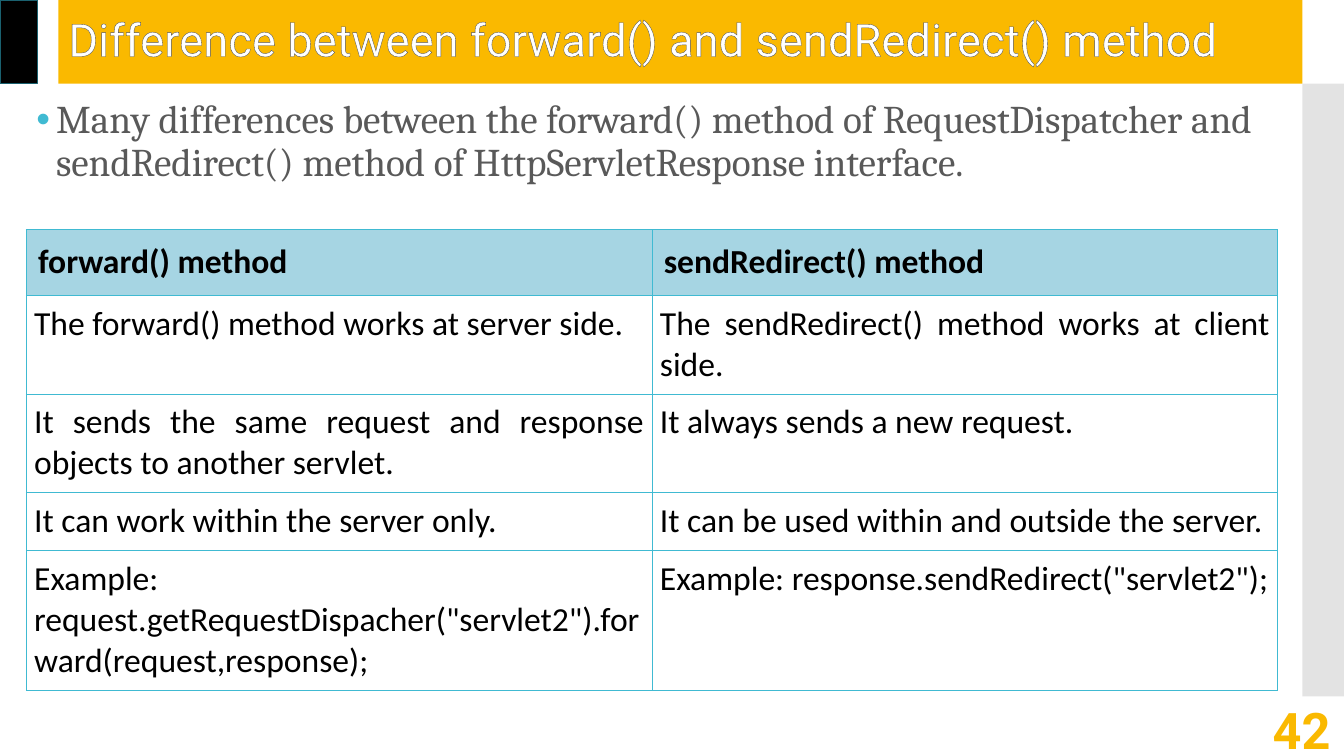
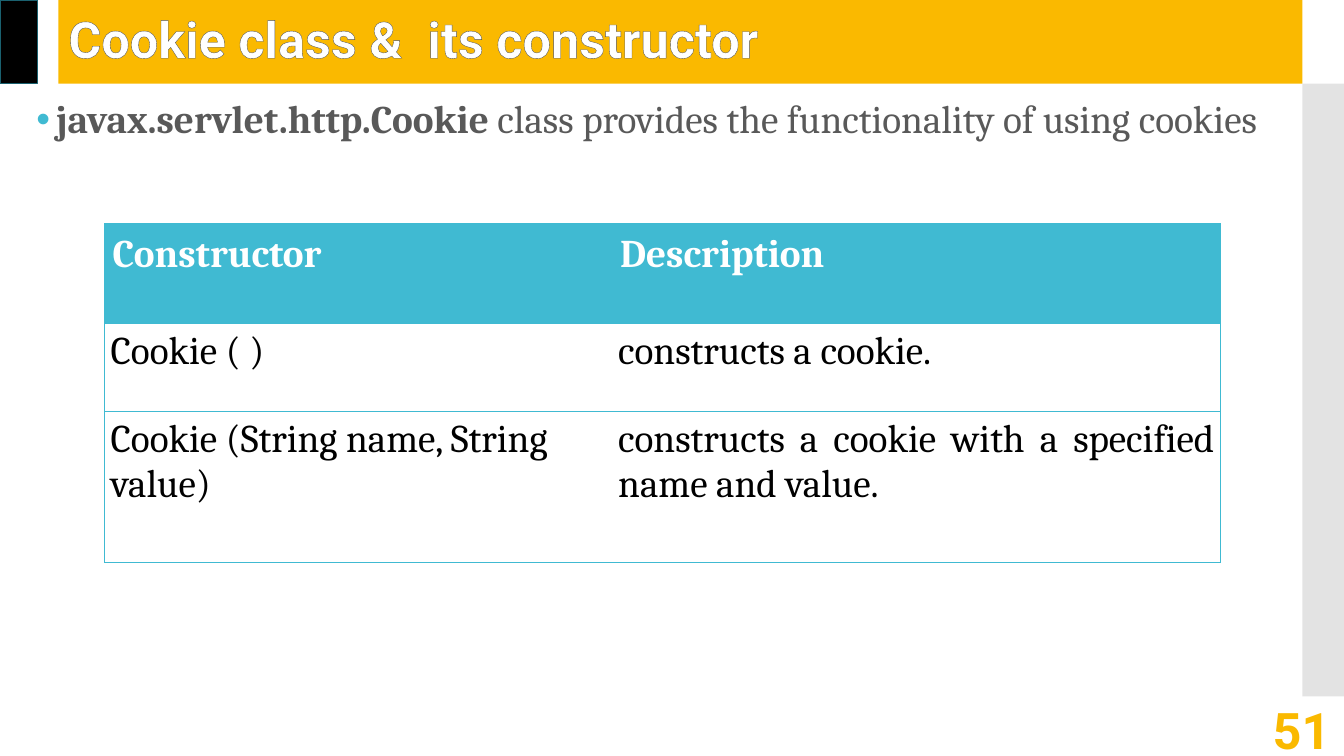
"""Two lecture slides on servlets, each with a title band, a bullet and a table."""
from dataclasses import dataclass

from lxml.etree import SubElement
from pptx import Presentation
from pptx.dml.color import RGBColor
from pptx.enum.shapes import MSO_SHAPE
from pptx.enum.text import MSO_ANCHOR as Anchor, MSO_AUTO_SIZE as AutoSize, PP_ALIGN as Align
from pptx.oxml import parse_xml
from pptx.oxml.ns import nsdecls, qn
from pptx.util import Cm, Pt

AMBER, TEAL, WHITE, BLACK = "FAB900", "40BAD2", "FFFFFF", "000000"
PALE_TEAL, DARK_TEAL = "A6D5E3", "1A616F"
GREY, BODY_GREY, OUTLINE_GREY = "C8C8C8", "595959", "545454"
PLAIN_TABLE = "{2D5ABB26-0587-4C30-8999-92F81FD0307C}"


@dataclass(frozen=True)
class Area:
    """A rectangle in centimetres."""
    left: float
    top: float
    width: float
    height: float

    def lengths(self) -> tuple:
        """Return left, top, width and height as lengths."""
        return Cm(self.left), Cm(self.top), Cm(self.width), Cm(self.height)


@dataclass(frozen=True)
class Band:
    """A decorative rectangle behind every slide."""
    area: Area
    fill: str
    line: str = ""
    alpha: int = 100


@dataclass(frozen=True)
class TextStyle:
    """The look of a paragraph's letters."""
    name: str
    size: float
    colour: str
    bold: bool = False


@dataclass(frozen=True)
class Grid:
    """A table with its measures and looks."""
    left: float
    top: float
    columns: tuple
    heights: tuple
    rows: tuple
    header: TextStyle
    body: TextStyle
    header_fill: str
    body_fill: str
    header_inset: float
    body_inset: float
    inner_verticals: bool = True
    second_indent: float = 0
    ragged: tuple = ()


@dataclass(frozen=True)
class Lesson:
    """The contents of one slide."""
    title: str
    title_style: TextStyle
    bullet: tuple
    number: str
    grid: Grid


TITLE_AREA = Area(1.47, 0, 31.35, 2.11)
BODY_AREA = Area(0.66, 2.39, 31.83, 15.11)
NUMBER_AREA = Area(29.54, 17.88, 4.24, 1.02)
BULLET_STYLE = TextStyle("Cambria", 28, BODY_GREY)
NUMBER_STYLE = TextStyle("Roboto", 36, AMBER, True)
BANDS = (
    Band(TITLE_AREA, AMBER),
    Band(Area(32.82, 2.11, 1.05, 15.44), GREY, alpha=50),
    Band(Area(0, 0, 0.94, 2.11), BLACK, line=DARK_TEAL),
)

METHODS = Grid(
    left=0.66, top=5.79, columns=(15.77, 15.77),
    heights=(1.65, 2.49, 2.49, 1.46, 3.53),
    rows=(
        ("forward() method", "sendRedirect() method"),
        ("The forward() method works at server side.",
         "The sendRedirect() method works at client side."),
        ("It sends the same request and response objects to another servlet.",
         "It always sends a new request."),
        ("It can work within the server only.",
         "It can be used within and outside the server."),
        ('Example: request.getRequestDispacher("servlet2").forward(request,response);',
         'Example: response.sendRedirect("servlet2");'),
    ),
    header=TextStyle("Calibri", 24, BLACK, True), body=TextStyle("Calibri", 24, BLACK),
    header_fill=PALE_TEAL, body_fill=WHITE, header_inset=0.3, body_inset=0.2,
)
CONSTRUCTORS = Grid(
    left=2.64, top=5.64, columns=(12.29, 15.82), heights=(2.51, 2.21, 3.81),
    rows=(
        ("Constructor", "Description"),
        ("Cookie ( )", "constructs a cookie."),
        ("Cookie (String name, String value)",
         "constructs a cookie with a specified name and value."),
    ),
    header=TextStyle("Cambria", 28, WHITE, True), body=TextStyle("Cambria", 28, BLACK),
    header_fill=TEAL, body_fill="", header_inset=0.2, body_inset=0.15,
    inner_verticals=False, second_indent=0.5,
    ragged=("Cookie (String name, String value)",),
)
LESSONS = (
    Lesson("Difference between forward() and sendRedirect() method",
           TextStyle("Roboto", 32.4, WHITE),
           (("Many differences between the forward() method of RequestDispatcher and "
             "sendRedirect() method of HttpServletResponse interface.", False),),
           "42", METHODS),
    Lesson("Cookie class &  its constructor", TextStyle("Roboto", 36, WHITE, True),
           (("javax.servlet.http.Cookie", True),
            (" class provides the functionality of using cookies", False)),
           "51", CONSTRUCTORS),
)


def colour(code: str) -> RGBColor:
    """Turn a hex string into a colour."""
    return RGBColor.from_string(code)


def set_font(para, style: TextStyle) -> None:
    """Give a whole paragraph its font."""
    font = para.font
    font.name, font.size, font.bold = style.name, Pt(style.size), style.bold
    font.color.rgb = colour(style.colour)


def line_xml(tag: str, code: str, points: float):
    """Build a solid line element for letters or cell edges."""
    return parse_xml(
        f'<a:{tag} {nsdecls("a")} w="{Pt(points)}"><a:solidFill>'
        f'<a:srgbClr val="{code}"/></a:solidFill></a:{tag}>')


def outline_text(para) -> None:
    """Draw a thin grey outline around a paragraph's letters."""
    for span in para.runs:
        span.font._element.insert(0, line_xml("ln", OUTLINE_GREY, 1))


def place(shape, area: Area) -> None:
    """Move and size a shape."""
    shape.left, shape.top, shape.width, shape.height = area.lengths()


def add_bands(page, layout) -> None:
    """Draw the shared bands and hand them to the layout."""
    for holder in list(layout.placeholders):
        if holder.placeholder_format.idx >= 10:
            holder.element.getparent().remove(holder.element)
    for position, band in enumerate(BANDS, start=2):
        shape = page.shapes.add_shape(MSO_SHAPE.RECTANGLE, *band.area.lengths())
        shape.shadow.inherit = False
        shape.fill.solid()
        shape.fill.fore_color.rgb = colour(band.fill)
        if band.alpha < 100:
            tint = shape.element.spPr.find(qn("a:solidFill"))[0]
            SubElement(tint, qn("a:alpha"), val=str(band.alpha * 1000))
        if band.line:
            shape.line.color.rgb = colour(band.line)
            shape.line.width = Pt(0.85)
        else:
            shape.line.fill.background()
        layout.shapes.element.insert(position, shape.element)


def add_title(page, lesson: Lesson) -> None:
    """Fill the title placeholder."""
    title = page.shapes.title
    place(title, TITLE_AREA)
    frame = title.text_frame
    frame.text = lesson.title
    frame.auto_size, frame.vertical_anchor = AutoSize.NONE, Anchor.MIDDLE
    para = frame.paragraphs[0]
    para.alignment, para.line_spacing = Align.LEFT, 0.9
    set_font(para, lesson.title_style)
    outline_text(para)


def add_bullet(page, spans: tuple) -> None:
    """Fill the body placeholder with one bullet."""
    body = page.placeholders[1]
    place(body, BODY_AREA)
    frame = body.text_frame
    frame.auto_size = AutoSize.NONE
    para = frame.paragraphs[0]
    para.line_spacing, para.space_before = 0.9, Pt(12)
    props = para._p.get_or_add_pPr()
    props.set("marL", str(Cm(0.5)))
    props.set("indent", str(Cm(-0.5)))
    tint = SubElement(props, qn("a:buClr"))
    SubElement(tint, qn("a:srgbClr"), val=TEAL)
    SubElement(props, qn("a:buFont"), typeface="Arial")
    SubElement(props, qn("a:buChar"), char="•")
    set_font(para, BULLET_STYLE)
    for text, bold in spans:
        span = para.add_run()
        span.text = text
        span.font.bold = bold


def add_number(page, number: str) -> None:
    """Write the page number in the bottom right corner."""
    box = page.shapes.add_textbox(*NUMBER_AREA.lengths())
    frame = box.text_frame
    frame.word_wrap, frame.vertical_anchor = True, Anchor.MIDDLE
    frame.text = number
    para = frame.paragraphs[0]
    para.alignment = Align.RIGHT
    set_font(para, NUMBER_STYLE)
    outline_text(para)


def fill_cell(cell, grid: Grid, row: int, column: int) -> None:
    """Write and format one table cell."""
    is_header = row == 0
    text = grid.rows[row][column]
    cell.text = text
    inset = Cm(grid.header_inset if is_header else grid.body_inset)
    cell.margin_left = cell.margin_right = cell.margin_top = cell.margin_bottom = inset
    para = cell.text_frame.paragraphs[0]
    para.alignment = Align.LEFT if is_header or text in grid.ragged else Align.JUSTIFY
    if column and grid.second_indent:
        para._p.get_or_add_pPr().set("marL", str(Cm(grid.second_indent)))
    set_font(para, grid.header if is_header else grid.body)
    fill = grid.header_fill if is_header else grid.body_fill
    if fill:
        cell.fill.solid()
        cell.fill.fore_color.rgb = colour(fill)
    else:
        cell.fill.background()
    edges = ["lnT", "lnB"]
    if grid.inner_verticals or column == len(grid.columns) - 1:
        edges.insert(0, "lnR")
    if grid.inner_verticals or column == 0:
        edges.insert(0, "lnL")
    for position, edge in enumerate(edges):
        cell._tc.get_or_add_tcPr().insert(position, line_xml(edge, TEAL, 0.75))


def add_grid(page, grid: Grid) -> None:
    """Draw a table."""
    area = Area(grid.left, grid.top, sum(grid.columns), sum(grid.heights))
    holder = page.shapes.add_table(len(grid.rows), len(grid.columns), *area.lengths())
    holder.element.xpath(".//a:tableStyleId")[0].text = PLAIN_TABLE
    table = holder.table
    table.first_row = table.horz_banding = False
    for column, width in zip(table.columns, grid.columns):
        column.width = Cm(width)
    for row, height in enumerate(grid.heights):
        table.rows[row].height = Cm(height)
        for column in range(len(grid.columns)):
            fill_cell(table.cell(row, column), grid, row, column)


def main() -> None:
    """Build and save the deck."""
    deck = Presentation()
    deck.slide_width, deck.slide_height = Cm(33.87), Cm(19.05)
    layout = deck.slide_layouts[1]
    for index, lesson in enumerate(LESSONS):
        page = deck.slides.add_slide(layout)
        if index == 0:
            add_bands(page, layout)
        add_title(page, lesson)
        add_bullet(page, lesson.bullet)
        add_number(page, lesson.number)
        add_grid(page, lesson.grid)
    deck.save("out.pptx")


main()
